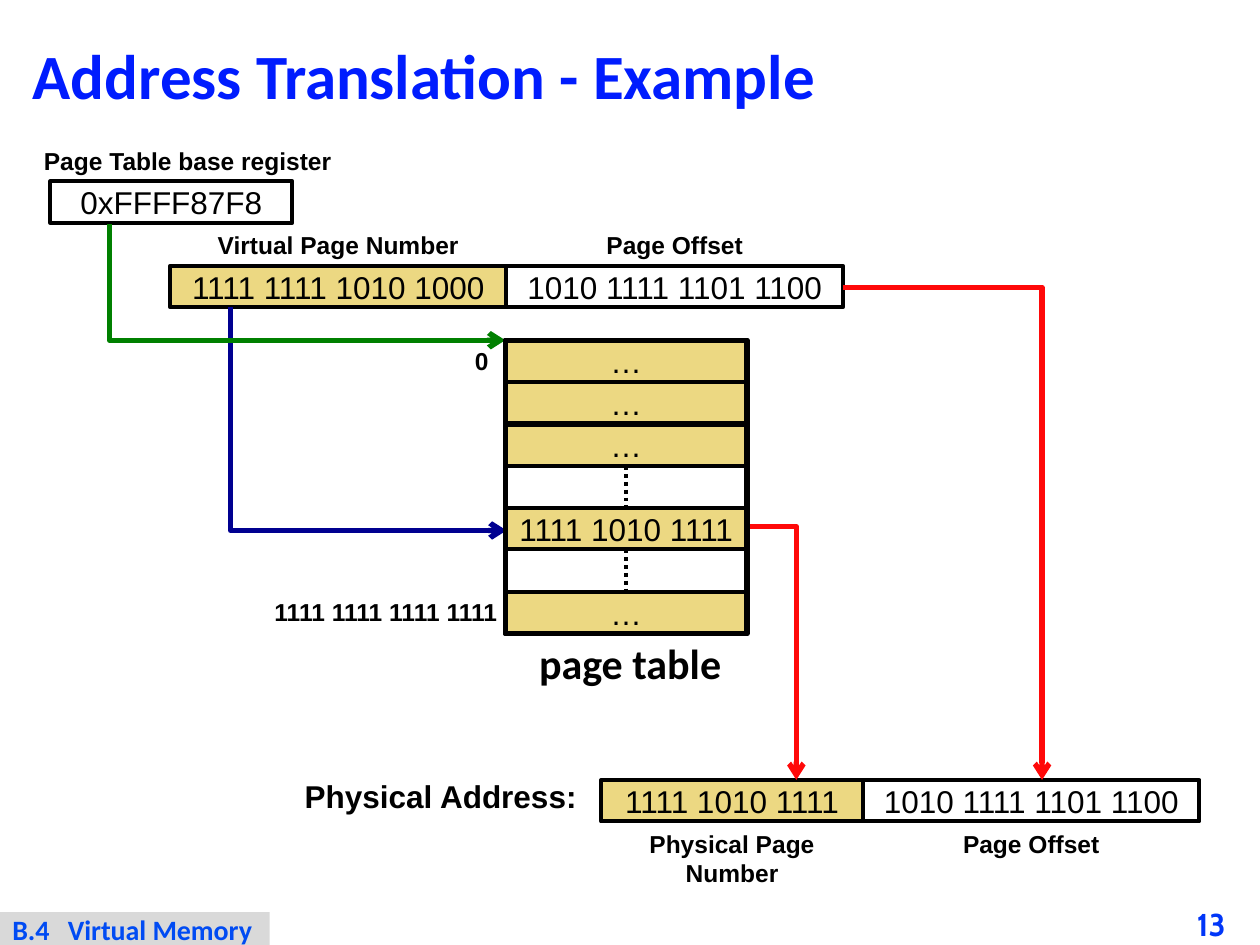
from dataclasses import dataclass

from lxml.etree import SubElement as Sub
from pptx import Presentation
from pptx.dml.color import RGBColor as Rgb
from pptx.enum.dml import MSO_LINE as Dash
from pptx.enum.shapes import MSO_CONNECTOR as Conn, MSO_SHAPE as Shape
from pptx.enum.text import MSO_ANCHOR as Anchor, MSO_AUTO_SIZE as Fit, PP_ALIGN as Align
from pptx.oxml.ns import qn
from pptx.util import Pt

PX = 9144  # 100 px to the inch


@dataclass(frozen=True)
class Theme:
    black: str = "000000"
    white: str = "FFFFFF"
    gold: str = "ECD882"
    gray: str = "D9D9D9"
    title: str = "001CFE"
    number: str = "0136F8"
    chapter: str = "004BF3"
    red: str = "FF0909"
    green: str = "008000"
    navy: str = "000090"
    body: str = "Arial"
    head: str = "Calibri"
    digit: str = "Cabin"
    huge: int = 36
    large: int = 24
    base: int = 18
    foot: int = 16
    small: int = 14
    thin: float = 2.25
    thick: float = 3


T = Theme()


def emu(*vals):
    return [round(v * PX) for v in vals]


def write(shape, text, size=T.base, font=T.body, color=T.black, bold=False,
          align=Align.LEFT, anchor=Anchor.TOP, inset=(10, 5, 10, 5), wrap=True, lead=None):
    frame = shape.text_frame
    frame.auto_size = Fit.NONE
    frame.word_wrap = wrap
    frame.vertical_anchor = anchor
    (frame.margin_left, frame.margin_top,
     frame.margin_right, frame.margin_bottom) = emu(*inset)
    para = frame.paragraphs[0]
    para.alignment = align
    if lead:
        para.line_spacing = lead
    run = para.add_run()
    run.text = text
    run.font.size, run.font.name, run.font.bold = Pt(size), font, bold
    run.font.color.rgb = Rgb.from_string(color)
    return para


def label(slide, box, text, **style):
    style = {"size": T.small, "bold": True} | style
    return write(slide.shapes.add_textbox(*emu(*box)), text, **style)


def stroke(shape, color, width):
    shape.line.color.rgb = Rgb.from_string(color)
    shape.line.width = Pt(width)


def block(slide, box, fill=None, width=T.thin, text=""):
    rect = slide.shapes.add_shape(Shape.RECTANGLE, *emu(*box))
    rect.shadow.inherit = False
    if fill:
        rect.fill.solid()
        rect.fill.fore_color.rgb = Rgb.from_string(fill)
    else:
        rect.fill.background()
    if width:
        stroke(rect, T.black, width)
    else:
        rect.line.fill.background()
    if text:
        write(rect, text, align=Align.CENTER, anchor=Anchor.MIDDLE, wrap=False)
    return rect


def flow(slide, points, color):
    """Draw an open bent line with an arrowhead at its last point."""
    pen = slide.shapes.build_freeform(*points[0], scale=PX)
    pen.add_line_segments(points[1:], close=False)
    bend = pen.convert_to_shape()
    bend.shadow.inherit = False
    bend.fill.background()
    stroke(bend, color, T.thick)
    Sub(bend.line._get_or_add_ln(), qn("a:tailEnd"), type="arrow")


def dots(slide, top, low):
    """Join two table entries by a dotted line."""
    line = slide.shapes.add_connector(Conn.STRAIGHT, 0, 0, 0, 0)
    line.begin_connect(top, 2)
    line.end_connect(low, 0)
    stroke(line, T.black, T.thin)
    line.line.dash_style = Dash.ROUND_DOT
    Sub(line._element.spPr, qn("a:effectLst"))


def header(slide, box):
    title = slide.shapes.title
    title.left, title.top, title.width, title.height = emu(*box)
    write(title, "Address Translation - Example", size=T.huge, font=T.head,
          color=T.title, bold=True, anchor=Anchor.MIDDLE, lead=0.87)


def register(slide, box):
    x, y, w, h = box
    label(slide, (x - 15, y - h, w + 73, h), "Page Table base register")
    block(slide, box, T.white, text="0xFFFF87F8")


def address(slide, box, parts, gap):
    """Draw adjoining fields of (width, name, value, fill), names gap px from their top."""
    x, y, _, h = box
    for width, name, value, fill in parts:
        block(slide, (x, y, width, h), fill, text=value)
        label(slide, (x, y + gap, width, h), name, align=Align.CENTER)
        x += width


def table(slide, box):
    x, y, w, h = box
    rows = ["…", "…", "…", None, "1111 1010 1111", None, "…"]
    step = h / len(rows)
    cells = [text and block(slide, (x, round(y + i * step), w, 33), T.gold, text=text)
             for i, text in enumerate(rows)]
    for i, cell in enumerate(cells):
        if cell is None:
            dots(slide, cells[i - 1], cells[i + 1])
    block(slide, box, width=T.thick)
    label(slide, (x - 34, y, 33, 34), "0")
    label(slide, (x - 193, y + 199, 203, 34), "1111 1111 1111 1111")
    label(slide, (x + 17, y + 231, 180, 50), "page table", size=T.large, font=T.head)


def footer(slide, box):
    x, y, w, h = box
    bar = block(slide, (x, y, 214, h), T.gray, width=0)
    para = write(bar, "B.4\tVirtual Memory", size=T.foot, font=T.head, color=T.chapter,
                 bold=True, inset=(10, 0, 0, 0))
    stops = Sub(para._p.get_or_add_pPr(), qn("a:tabLst"))
    Sub(stops, qn("a:tab"), pos=str(44 * PX), algn="l")
    label(slide, (x + w - 50, y - 7, 50, 33), "13", size=T.base, font=T.digit,
          color=T.number, anchor=Anchor.MIDDLE, inset=(0, 0, 0, 0))


def main():
    deck = Presentation()
    deck.slide_width, deck.slide_height = emu(1000, 750)
    slide = deck.slides.add_slide(deck.slide_layouts[5])
    offset = "1010 1111 1101 1100"

    header(slide, (16, 15, 968, 97))
    register(slide, (40, 144, 192, 33))
    address(slide, (135, 211, 534, 33), [
        (267, "Virtual Page Number", "1111 1111 1010 1000", T.gold),
        (267, "Page Offset", offset, T.white)], gap=-33)
    address(slide, (477, 619, 475, 33), [
        (208, "Physical Page Number", "1111 1010 1111", T.gold),
        (267, "Page Offset", offset, T.white)], gap=34)
    label(slide, (232, 612, 252, 40), "Physical Address:", size=T.base)
    flow(slide, [(183, 244), (183, 421), (402, 421)], T.navy)
    flow(slide, [(590, 418), (632, 418), (632, 619)], T.red)
    flow(slide, [(669, 228), (827, 228), (827, 619)], T.red)
    flow(slide, [(87, 178), (87, 270), (401, 270)], T.green)
    table(slide, (401, 270, 192, 233))
    footer(slide, (0, 724, 1000, 27))
    deck.save("out.pptx")


if __name__ == "__main__":
    main()
